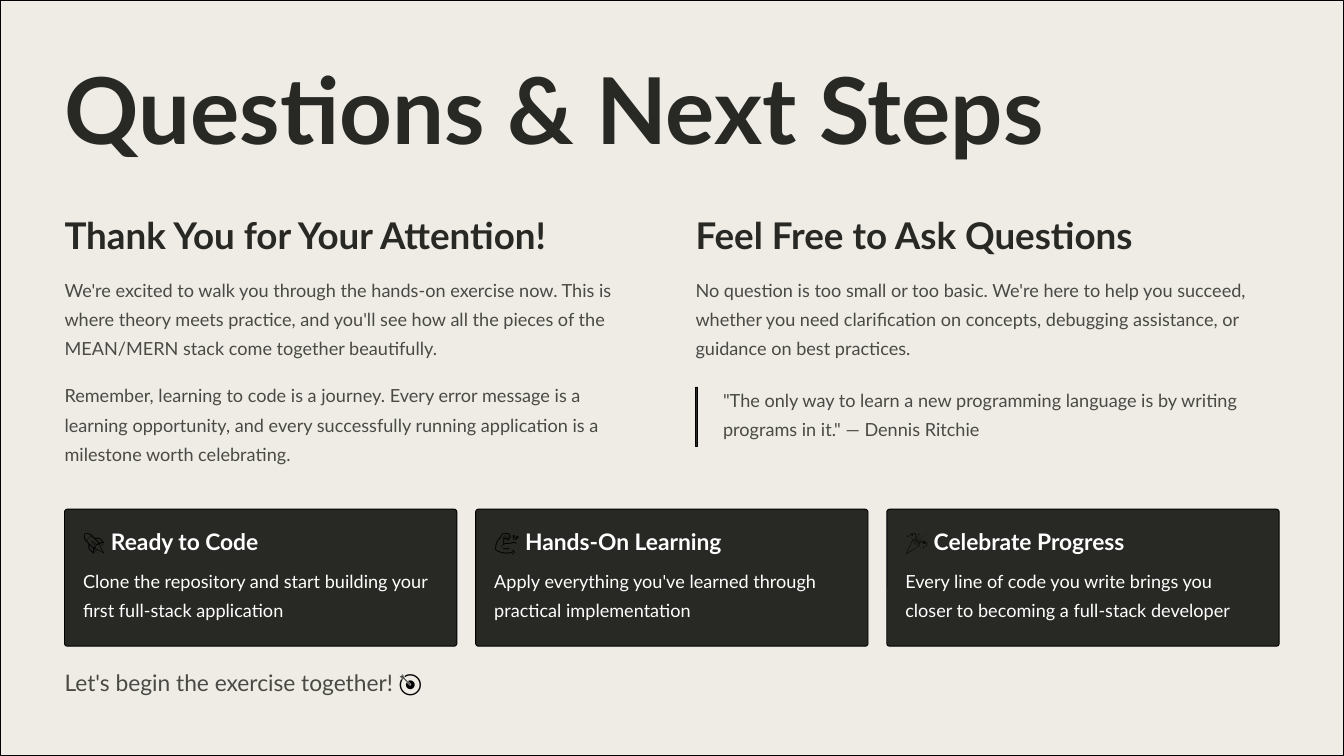
"""Build the closing slide with questions and next steps."""
from dataclasses import dataclass

from pptx import Presentation
from pptx.dml.color import RGBColor
from pptx.enum import shapes, text
from pptx.shapes.autoshape import Shape
from pptx.slide import Slide
from pptx.util import Cm, Pt

FONT = "Lato"
DARK, GREY, WHITE, BLACK, PAPER = "282824", "4A4A45", "FFFFFF", "000000", "EFECE6"
LEFT, RIGHT = 2.44, 26.29
COLUMN_WIDTH = 22.1
CARD_TOP, CARD_WIDTH, CARD_HEIGHT, CARD_PITCH = 19.25, 14.83, 5.18, 15.54
CARD_INSET = 0.7


@dataclass(frozen=True)
class Area:
    left: float
    top: float
    width: float
    height: float

    def lengths(self) -> tuple[Cm, Cm, Cm, Cm]:
        return Cm(self.left), Cm(self.top), Cm(self.width), Cm(self.height)


@dataclass(frozen=True)
class Style:
    size: float
    leading: float
    colour: str
    bold: bool = False


@dataclass(frozen=True)
class Span:
    words: str
    colour: str
    bold: bool


@dataclass(frozen=True)
class Card:
    icon: str
    heading: str
    body: str
    heading_width: float
    heading_height: float


TITLE = Style(98.8, 123.8, DARK, True)
HEADING = Style(39.4, 49.4, DARK, True)
BODY = Style(19.4, 31.2, GREY)
CARD_HEADING = Style(24.4, 30.6, WHITE, True)
CARD_BODY = Style(19.4, 31.2, WHITE)
CLOSING = Style(24.4, 39.4, GREY)

COLUMN_TEXTS = [
    (Area(LEFT, 7.98, 19.56, 1.6), HEADING, "Thank You for Your Attention!"),
    (Area(LEFT, 10.29, COLUMN_WIDTH, 3.58), BODY,
     "We're excited to walk you through the hands-on exercise now. This is where theory meets "
     "practice, and you'll see how all the pieces of the MEAN/MERN stack come together beautifully."),
    (Area(LEFT, 14.27, COLUMN_WIDTH, 3.58), BODY,
     "Remember, learning to code is a journey. Every error message is a learning opportunity, "
     "and every successfully running application is a milestone worth celebrating."),
    (Area(RIGHT, 7.98, 17.12, 1.6), HEADING, "Feel Free to Ask Questions"),
    (Area(RIGHT, 10.29, COLUMN_WIDTH, 3.58), BODY,
     "No question is too small or too basic. We're here to help you succeed, whether you need "
     "clarification on concepts, debugging assistance, or guidance on best practices."),
    (Area(27.33, 14.43, 21.06, 2.44), BODY,
     '"The only way to learn a new programming language is by writing programs in it." '
     "— Dennis Ritchie"),
]

CARDS = [
    Card("🚀", "Ready to Code",
         "Clone the repository and start building your first full-stack application", 8.74, 1.14),
    Card("💪", "Hands-On Learning",
         "Apply everything you've learned through practical implementation", 9.93, 1.04),
    Card("🎉", "Celebrate Progress",
         "Every line of code you write brings you closer to becoming a full-stack developer",
         8.74, 1.14),
]


def rgb(colour: str) -> RGBColor:
    return RGBColor.from_string(colour)


def write(box: Shape, style: Style, spans: list[Span]) -> None:
    frame = box.text_frame
    frame.word_wrap = True
    frame.auto_size = text.MSO_AUTO_SIZE.SHAPE_TO_FIT_TEXT
    frame.vertical_anchor = text.MSO_ANCHOR.TOP
    frame.margin_left = frame.margin_top = frame.margin_right = frame.margin_bottom = 0
    para = frame.paragraphs[0]
    para.alignment = text.PP_ALIGN.LEFT
    para.line_spacing = Pt(style.leading)
    para.space_before = Pt(0)
    for span in spans:
        run = para.add_run()
        run.text = span.words
        run.font.name = FONT
        run.font.size = Pt(style.size)
        run.font.bold = span.bold
        run.font.color.rgb = rgb(span.colour)


def add_text(page: Slide, area: Area, style: Style, spans: list[Span]) -> None:
    write(page.shapes.add_textbox(*area.lengths()), style, spans)


def plain(words: str, style: Style) -> Span:
    return Span(words, style.colour, style.bold)


def icon(symbol: str) -> Span:
    return Span(symbol, BLACK, True)


def add_panel(page: Slide, area: Area, colour: str, rounding: float = 0) -> None:
    kind = shapes.MSO_SHAPE.ROUNDED_RECTANGLE if rounding else shapes.MSO_SHAPE.RECTANGLE
    panel = page.shapes.add_shape(kind, *area.lengths())
    if rounding:
        panel.adjustments[0] = rounding
    panel.shadow.inherit = False
    panel.fill.solid()
    panel.fill.fore_color.rgb = rgb(colour)
    panel.line.color.rgb = rgb(BLACK)
    panel.line.width = Pt(1)


def add_card(page: Slide, card: Card, left: float) -> None:
    add_panel(page, Area(left, CARD_TOP, CARD_WIDTH, CARD_HEIGHT), DARK, 0.02)
    inner = left + CARD_INSET
    add_text(page, Area(inner, 19.91, card.heading_width, card.heading_height), CARD_HEADING,
             [icon(card.icon), plain(f" {card.heading}", CARD_HEADING)])
    add_text(page, Area(inner, 21.29, CARD_WIDTH - 2 * CARD_INSET, 2.44), CARD_BODY,
             [plain(card.body, CARD_BODY)])


def add_title(page: Slide, area: Area, words: str) -> None:
    title = page.shapes.title
    title.left, title.top, title.width, title.height = area.lengths()
    write(title, TITLE, [plain(words, TITLE)])
    page.shapes.element.append(title.element)


def main() -> None:
    deck = Presentation()
    deck.slide_width, deck.slide_height = Cm(50.8), Cm(28.58)
    page = deck.slides.add_slide(deck.slide_layouts[5])

    add_panel(page, Area(0, 0, 50.8, 28.58), PAPER)
    add_title(page, Area(LEFT, 1.8, 38.2, 4.06), "Questions & Next Steps")
    for area, style, words in COLUMN_TEXTS:
        add_text(page, area, style, [plain(words, style)])
    add_panel(page, Area(RIGHT, 14.63, 0.08, 2.24), DARK)
    for index, card in enumerate(CARDS):
        add_card(page, card, LEFT + index * CARD_PITCH)
    add_text(page, Area(LEFT, 24.94, 45.9, 1.73), CLOSING,
             [plain("Let's begin the exercise together! ", CLOSING), icon("🎯")])

    deck.save("out.pptx")


if __name__ == "__main__":
    main()
